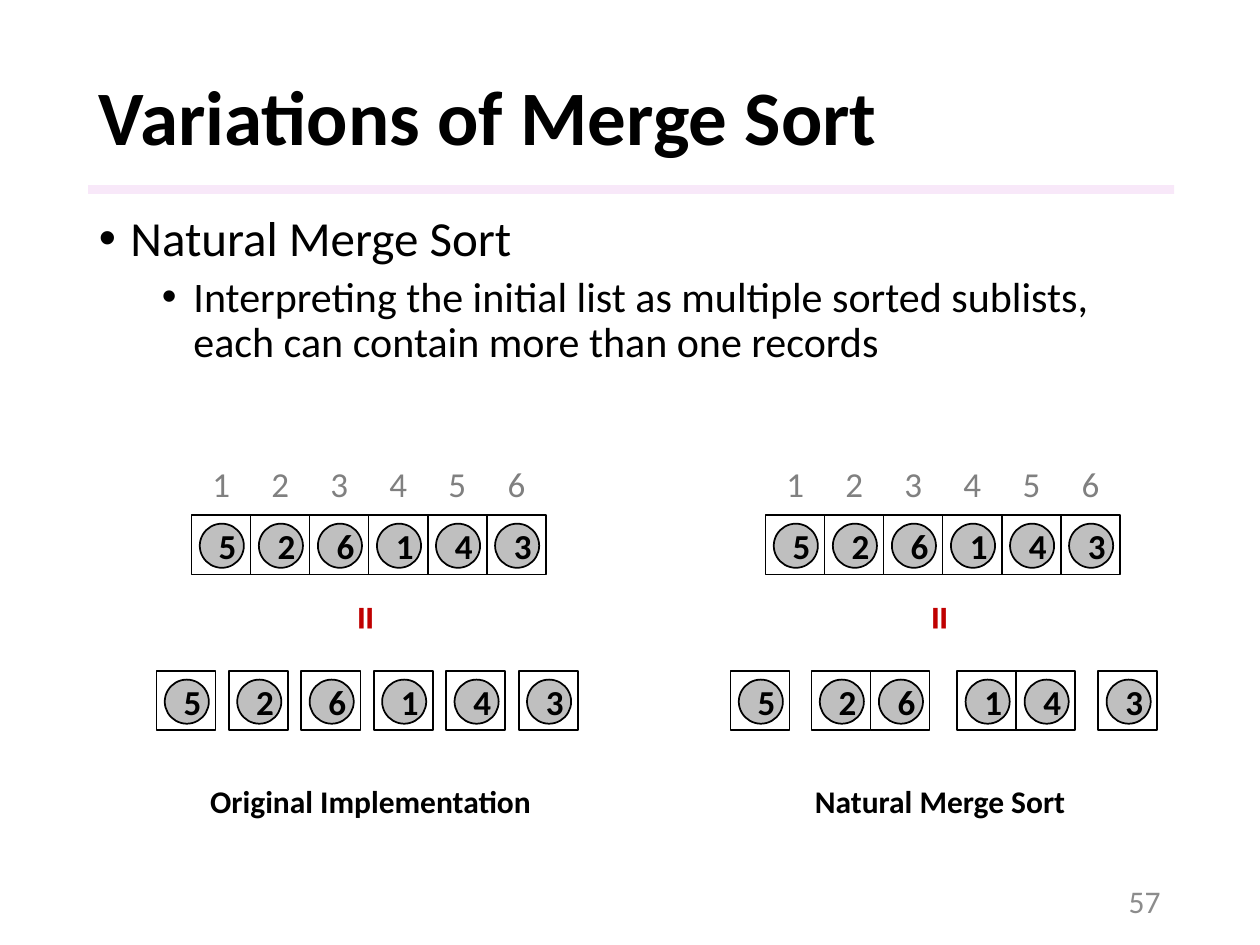
import pptx
import pptx.dml.color
import pptx.enum.shapes
import pptx.enum.text
import pptx.oxml
import pptx.oxml.ns
import pptx.util
from lxml import etree

Pt = pptx.util.Pt
RGBColor = pptx.dml.color.RGBColor
Shape = pptx.enum.shapes.MSO_SHAPE
Align = pptx.enum.text.PP_ALIGN
Anchor = pptx.enum.text.MSO_ANCHOR
qn = pptx.oxml.ns.qn

BLACK = RGBColor(0x00, 0x00, 0x00)
INDEX_GRAY = RGBColor(0x80, 0x80, 0x80)
NUMBER_GRAY = RGBColor(0x8C, 0x8C, 0x8C)
RECORD_GRAY = RGBColor(0xBF, 0xBF, 0xBF)
RED = RGBColor(0xC0, 0x00, 0x00)
LILAC = RGBColor(0xF3, 0xD2, 0xF4)

CELL = 33.75
RECORD = 25.2
RECORD_INSET = 4.75
LIST_LEFT, LIST_TOP = 109.4, 294.5
SUBLIST_TOP = 383.6
INDEX_TOP = 260.6
PANEL_SHIFT = 328
RECORDS = "526143"


class SlideBuilder:
    font_name = "Calibri"

    def __init__(self, page):
        self.page = page

    def style(self, para, text, size, color=BLACK, bold=False, align=None):
        para.text = text
        para.alignment = align
        para.font.name = self.font_name
        para.font.size = Pt(size)
        para.font.bold = bold
        para.font.color.rgb = color

    def text_box(self, left, top, width, height, wrap=True, anchor=Anchor.TOP):
        box = self.page.shapes.add_textbox(Pt(left), Pt(top), Pt(width), Pt(height))
        frame = box.text_frame
        frame.word_wrap = wrap
        frame.vertical_anchor = anchor
        if not wrap:
            frame.auto_size = pptx.enum.text.MSO_AUTO_SIZE.SHAPE_TO_FIT_TEXT
        return box

    def label(self, left, top, width, height, text, size, **style):
        box = self.text_box(left, top, width, height, wrap=False)
        self.style(box.text_frame.paragraphs[0], text, size, **style)
        return box

    def shape(self, kind, left, top, width, height, fill=None, line=BLACK):
        shape = self.page.shapes.add_shape(kind, Pt(left), Pt(top), Pt(width), Pt(height))
        shape.shadow.inherit = False
        if fill is None:
            shape.fill.background()
        else:
            shape.fill.solid()
            shape.fill.fore_color.rgb = fill
        if line is None:
            shape.line.fill.background()
        else:
            shape.line.color.rgb = line
            shape.line.width = Pt(1)
        return shape

    def bullet(self, para, text, size, margin):
        properties = para._p.get_or_add_pPr()
        properties.set("marL", str(Pt(margin)))
        properties.set("indent", str(Pt(-18)))
        etree.SubElement(properties, qn("a:buFont")).set("typeface", "Arial")
        etree.SubElement(properties, qn("a:buChar")).set("char", "•")
        para.line_spacing = 0.9
        self.style(para, text, size, align=Align.LEFT)

    def cells(self, left, top, digits):
        """Draw adjoining cells, each holding one round record."""
        for i, digit in enumerate(digits):
            x = left + i * CELL
            self.shape(Shape.RECTANGLE, x, top, CELL, CELL)
            record = self.shape(Shape.OVAL, x + RECORD_INSET, top + RECORD_INSET,
                                RECORD, RECORD, fill=RECORD_GRAY)
            record.text_frame.vertical_anchor = Anchor.MIDDLE
            self.style(record.text_frame.paragraphs[0], digit, 20, bold=True,
                       align=Align.CENTER)

    def panel(self, shift, sublists, caption, caption_left, caption_width):
        """Draw the initial list above the sublists it is read as."""
        left = LIST_LEFT + shift
        for i in range(len(RECORDS)):
            self.label(left + RECORD_INSET + i * CELL, INDEX_TOP, 24.5, 31.5, str(i + 1), 20,
                       color=INDEX_GRAY, align=Align.CENTER)
        self.cells(left, LIST_TOP, RECORDS)
        equals = self.label(left + 87.2, 333.4, 28.8, 41.2, "=", 28, color=RED, bold=True)
        equals.rotation = 90
        for sublist_left, digits in sublists:
            self.cells(sublist_left, SUBLIST_TOP, digits)
        self.label(caption_left, 443.5, caption_width, 28.8, caption, 18, bold=True)


def main():
    deck = pptx.Presentation()
    deck.slide_width, deck.slide_height = Pt(720), Pt(540)
    builder = SlideBuilder(deck.slides.add_slide(deck.slide_layouts[6]))

    rule = builder.shape(Shape.RECTANGLE, 50.4, 105.8, 620.6, 5, fill=LILAC, line=None)
    color = rule._element.spPr.find(".//" + qn("a:srgbClr"))
    etree.SubElement(color, qn("a:alpha")).set("val", "50000")

    title = builder.text_box(49.5, 28.8, 621, 80, anchor=Anchor.MIDDLE)
    heading = title.text_frame.paragraphs[0]
    heading.line_spacing = 0.9
    builder.style(heading, "Variations of Merge Sort", 44, bold=True)

    body = builder.text_box(49.5, 118.8, 621, 401.8).text_frame
    builder.bullet(body.paragraphs[0], "Natural Merge Sort", 28, 18)
    detail = body.add_paragraph()
    detail.level = 1
    detail.space_before = Pt(5)
    builder.bullet(detail, "Interpreting the initial list as multiple sorted sublists, "
                   "each can contain more than one records", 24, 54)

    number = builder.text_box(508.3, 500.4, 162, 28.8, anchor=Anchor.MIDDLE)
    builder.style(number.text_frame.paragraphs[0], "57", 18, color=NUMBER_GRAY,
                  align=Align.RIGHT)

    single_records = [(89.4 + 41.4 * i, digit) for i, digit in enumerate(RECORDS)]
    natural_runs = [(417.4, "5"), (463.7, "26"), (547, "14"), (627.6, "3")]
    builder.panel(0, single_records, "Original Implementation", 113, 203)
    builder.panel(PANEL_SHIFT, natural_runs, "Natural Merge Sort", 458.6, 159.1)

    deck.save("out.pptx")


if __name__ == "__main__":
    main()
